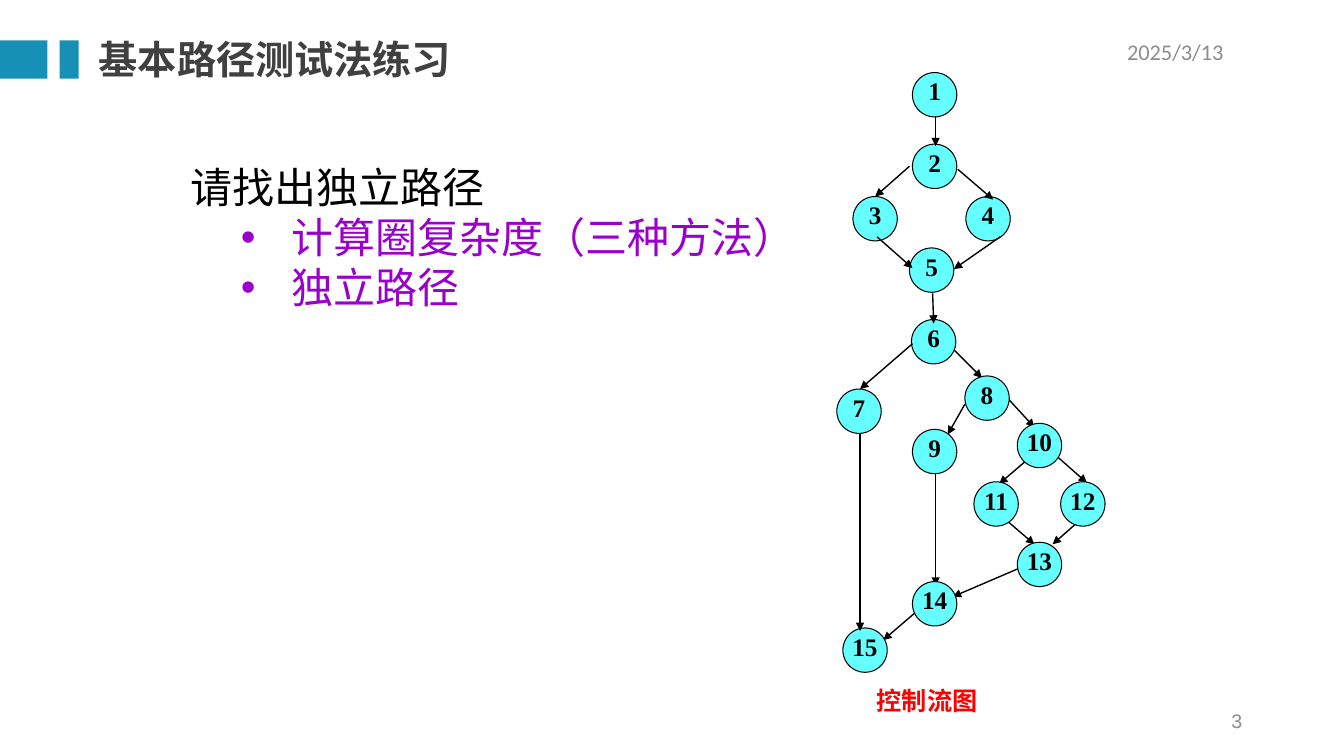
from lxml import etree
from pptx import Presentation
from pptx.dml.color import RGBColor
from pptx.enum.shapes import MSO_CONNECTOR, MSO_SHAPE
from pptx.enum.text import MSO_ANCHOR, PP_ALIGN
from pptx.oxml.ns import qn
from pptx.util import Inches, Pt

OVAL, RECT = MSO_SHAPE.OVAL, MSO_SHAPE.RECTANGLE
LINE = MSO_CONNECTOR.STRAIGHT
TOP, MIDDLE = MSO_ANCHOR.TOP, MSO_ANCHOR.MIDDLE
LEFT, CENTER, RIGHT = PP_ALIGN.LEFT, PP_ALIGN.CENTER, PP_ALIGN.RIGHT

TEAL = RGBColor(0x16, 0x91, 0xB5)
CYAN = RGBColor(0x66, 0xFF, 0xFF)
BLACK = RGBColor(0, 0, 0)
DARK = RGBColor(0x40, 0x40, 0x40)
GRAY = RGBColor(0x8C, 0x8C, 0x8C)
RED = RGBColor(0xFF, 0, 0)
PURPLE = RGBColor(0x99, 0, 0xCC)
HAN, SERIF = "Noto Sans CJK SC", "Times New Roman"

TITLE = "基本路径测试法练习"
TASK = "请找出独立路径"
STEPS = ["计算圈复杂度（三种方法）", "独立路径"]
CAPTION = "控制流图"
BARS = [(0, 0.47), (0.59, 0.19)]  # left, width

SIZE = 0.44  # node diameter
NODES = {  # left, top
    1: (9.05, 0.72), 2: (9.05, 1.43), 3: (8.46, 1.95), 4: (9.58, 1.95),
    5: (9.02, 2.46), 6: (9.04, 3.17), 7: (8.3, 3.86), 8: (9.57, 3.73),
    9: (9.05, 4.26), 10: (10.09, 4.2), 11: (9.66, 4.78), 12: (10.52, 4.78),
    13: (10.09, 5.38), 14: (9.05, 5.77), 15: (8.36, 6.23),
}
# Arrow start and end: x, y, x, y
BELOW = [  # drawn under the nodes
    (9.91, 3.86, 10.26, 4.24),   # 8 to 10
    (10.26, 4.5, 9.91, 4.8),     # 10 to 11
    (10.44, 4.49, 10.78, 4.79),  # 10 to 12
    (9.91, 5.1, 10.26, 5.4),     # 11 to 13
    (10.78, 5.1, 10.44, 5.4),    # 12 to 13
    (9.28, 4.61, 9.28, 5.81),    # 9 to 14
    (10.15, 5.62, 9.45, 5.92),   # 13 to 14
    (9.11, 6.05, 8.76, 6.35),    # 14 to 15
    (9.4, 3.41, 9.74, 3.75),     # 6 to 8
]
ABOVE = [  # drawn over the nodes
    (9.28, 1.15, 9.28, 1.45),    # 1 to 2
    (9.02, 1.65, 8.68, 1.95),    # 2 to 3
    (9.5, 1.68, 9.85, 1.98),     # 2 to 4
    (8.7, 2.35, 9.05, 2.66),     # 3 to 5
    (9.92, 2.35, 9.46, 2.67),    # 4 to 5
    (9.25, 2.91, 9.26, 3.21),    # 5 to 6
    (9.57, 4.01, 9.4, 4.31),     # 8 to 9
    (9.05, 3.41, 8.53, 3.86),    # 6 to 7
    (8.53, 4.31, 8.53, 6.26),    # 7 to 15
]


def style(para, size, font, color, bold=False, align=LEFT):
    para.alignment = align
    for run in para.runs:
        run.font.size, run.font.name = Pt(size), font
        run.font.bold, run.font.color.rgb = bold, color
        east = etree.SubElement(run.font._element, qn("a:ea"))
        east.set("typeface", HAN)


def strip(frame, anchor):
    """Remove the insets and anchor the text."""
    frame.margin_left = frame.margin_right = 0
    frame.margin_top = frame.margin_bottom = 0
    frame.vertical_anchor = anchor


def label(slide, box, text, anchor, *look):
    frame = slide.shapes.add_textbox(*map(Inches, box)).text_frame
    frame.word_wrap = True
    frame.vertical_anchor = anchor
    frame.text = text
    style(frame.paragraphs[0], *look)
    return frame


def solid(slide, kind, box, fill):
    shape = slide.shapes.add_shape(kind, *map(Inches, box))
    shape.shadow.inherit = False
    shape.fill.solid()
    shape.fill.fore_color.rgb = fill
    shape.line.fill.background()
    return shape


def arrow(slide, ends):
    line = slide.shapes.add_connector(LINE, *map(Inches, ends))
    line.line.color.rgb = BLACK
    line.line.width = Pt(1)
    props = line._element.spPr
    tail = etree.SubElement(props.find(qn("a:ln")), qn("a:tailEnd"))
    tail.set("type", "triangle")
    etree.SubElement(props, qn("a:effectLst"))


def node(slide, num, spot):
    shape = solid(slide, OVAL, (*spot, SIZE, SIZE), CYAN)
    shape.line.color.rgb = BLACK
    shape.line.width = Pt(0.75)
    frame = shape.text_frame
    strip(frame, TOP)
    frame.text = str(num)
    para = frame.paragraphs[0]
    para.line_spacing = 0.9
    style(para, 18, SERIF, BLACK, True, CENTER)


def bullet(frame, text):
    para = frame.add_paragraph()
    para.text = text
    para.level = 1
    props = para._p.get_or_add_pPr()
    props.set("marL", str(Inches(1)))
    props.set("indent", str(Inches(-0.5)))
    etree.SubElement(props, qn("a:buFont")).set("typeface", "Arial")
    etree.SubElement(props, qn("a:buChar")).set("char", "•")
    style(para, 30, "Calibri", PURPLE)


def main():
    deck = Presentation()
    deck.slide_width, deck.slide_height = Inches(13.33), Inches(7.5)
    slide = deck.slides.add_slide(deck.slide_layouts[5])

    title = slide.shapes.title
    title.left, title.top = Inches(0.98), Inches(0.31)
    title.width, title.height = Inches(4.34), Inches(0.55)
    strip(title.text_frame, MIDDLE)
    title.text_frame.text = TITLE
    style(title.text_frame.paragraphs[0], 28, HAN, DARK, True)
    for left, width in BARS:
        solid(slide, RECT, (left, 0.4, width, 0.38), TEAL)

    label(slide, (9.42, 6.95, 3, 0.4), "3", MIDDLE, 14, "Arial", GRAY, False, RIGHT)
    label(slide, (11.08, 0.31, 1.44, 0.4), "2025/3/13", MIDDLE, 16, "Calibri", GRAY)

    for ends in BELOW:
        arrow(slide, ends)
    for num, spot in NODES.items():
        node(slide, num, spot)
    for ends in ABOVE:
        arrow(slide, ends)
    note = label(slide, (8.24, 6.78, 1.91, 0.45), CAPTION, TOP,
                 18, SERIF, RED, True, CENTER)
    note.paragraphs[0].line_spacing = 0.9

    body = label(slide, (1.79, 1.55, 6.67, 1.61), TASK, TOP, 30, "Calibri", BLACK)
    for step in STEPS:
        bullet(body, step)

    deck.save("out.pptx")


if __name__ == "__main__":
    main()
